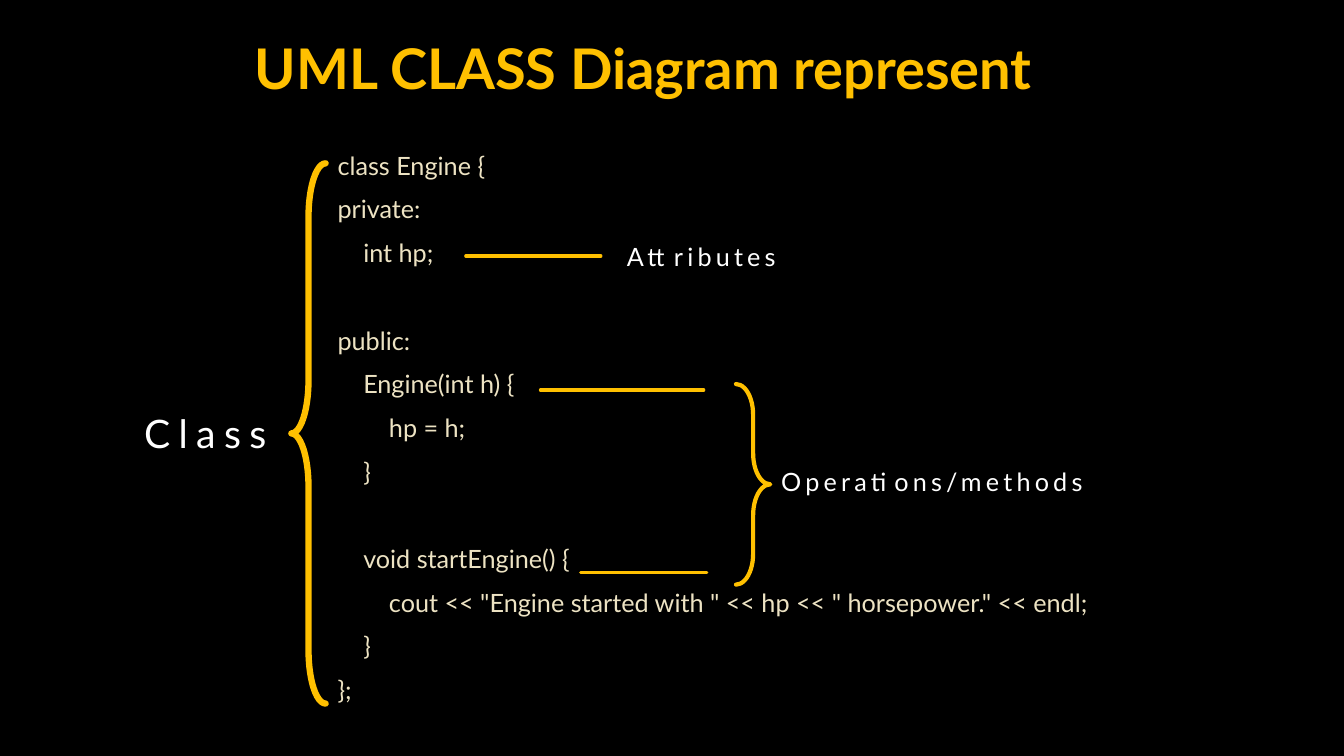
"""Build the UML class diagram slide: annotated code of an Engine class."""
from dataclasses import dataclass

import pptx
import pptx.dml.color
import pptx.enum.shapes
import pptx.enum.text
import pptx.oxml
import pptx.oxml.ns
import pptx.util

Inches = pptx.util.Inches
Pt = pptx.util.Pt


@dataclass(frozen=True)
class Theme:
    """Hold the colours, the font and the type sizes."""
    background: str = "000000"
    accent: str = "FFC000"
    code: str = "EDE3C3"
    label: str = "FFFFFF"
    font: str = "Lato"
    title_size: int = 40
    class_size: int = 28
    text_size: int = 18


THEME = Theme()
CODE_INDENT = 0.255
CODE_BEFORE = 3.6
CODE_AFTER = 6
BLANK_LINE = 31.2

CODE_LINES = [
    (0, "class Engine {", False),
    (0, "private:", False),
    (1, "int hp;", False),
    (0, "public:", True),
    (1, "Engine(int h) {", False),
    (2, "hp = h;", False),
    (1, "}", False),
    (1, "void startEngine() {", True),
    (2, 'cout << "Engine started with " << hp << " horsepower." << endl;', False),
    (1, "}", False),
    (0, "};", False),
]


def rgb(value):
    """Turn a hex string into a colour."""
    return pptx.dml.color.RGBColor.from_string(value)


def add_run(paragraph, text, size, color, bold=False, spacing=0):
    """Add one formatted run, with letter spacing in points."""
    run = paragraph.add_run()
    run.text = text
    run.font.name = THEME.font
    run.font.size = Pt(size)
    run.font.bold = bold
    run.font.color.rgb = rgb(color)
    if spacing:
        run.font._element.set("spc", str(spacing * 100))


def style_stroke(mark, width):
    """Give a mark the accent stroke with round ends."""
    mark.line.color.rgb = rgb(THEME.accent)
    mark.line.width = Pt(width)
    stroke = mark.element.spPr.find(pptx.oxml.ns.qn("a:ln"))
    stroke.set("cap", "rnd")


def add_title(slide, text):
    """Place and fill the title placeholder."""
    title = slide.shapes.title
    title.left, title.top = Inches(0.72), Inches(0.14)
    title.width, title.height = Inches(11.32), Inches(1.06)
    title.text_frame.vertical_anchor = pptx.enum.text.MSO_ANCHOR.MIDDLE
    heading = title.text_frame.paragraphs[0]
    heading.alignment = pptx.enum.text.PP_ALIGN.CENTER
    add_run(heading, text, THEME.title_size, THEME.accent, bold=True)


def add_code(slide, left, top, width, height):
    """Add the code listing, with indents for its nesting levels."""
    listing = slide.shapes.add_textbox(
        Inches(left), Inches(top), Inches(width), Inches(height)).text_frame
    listing.word_wrap = True
    for number, (level, text, after_gap) in enumerate(CODE_LINES):
        line = listing.add_paragraph() if number else listing.paragraphs[0]
        gap = BLANK_LINE if after_gap else 0
        line.space_before = Pt(CODE_BEFORE + gap if number else 0)
        line.space_after = Pt(CODE_AFTER)
        properties = line._p.get_or_add_pPr()
        properties.set("marL", str(Inches(0.04 + level * CODE_INDENT)))
        properties.set("indent", "0")
        add_run(line, text, THEME.text_size, THEME.code)


def add_brace(slide, left, top, height, curve, width, rotation=0):
    """Add a brace that gathers several code lines."""
    brace = slide.shapes.add_shape(
        pptx.enum.shapes.MSO_SHAPE.RIGHT_BRACE,
        Inches(left), Inches(top), Inches(0.34), Inches(height))
    brace.adjustments[0] = curve
    brace.rotation = rotation
    brace.shadow.inherit = False
    brace.fill.background()
    style_stroke(brace, width)


def add_pointer(slide, start, end, height):
    """Add a horizontal line from a code line towards its label."""
    pointer = slide.shapes.add_connector(
        pptx.enum.shapes.MSO_CONNECTOR.STRAIGHT,
        Inches(start), Inches(height), Inches(end), Inches(height))
    style_stroke(pointer, 2.25)
    pptx.oxml.ns.qn("a:effectLst")
    pointer.element.spPr.append(
        pptx.oxml.parse_xml(
            f'<a:effectLst {pptx.oxml.ns.nsdecls("a")}/>'))


def add_label(slide, text, left, top, width, height, size, spacing):
    """Add a letter-spaced label."""
    label = slide.shapes.add_textbox(
        Inches(left), Inches(top), Inches(width), Inches(height)).text_frame
    label.word_wrap = True
    add_run(label.paragraphs[0], text, size, THEME.label, spacing=spacing)


def main():
    """Build and save the slide."""
    deck = pptx.Presentation()
    deck.slide_width, deck.slide_height = Inches(13.33), Inches(7.5)
    slide = deck.slides.add_slide(deck.slide_layouts.get_by_name("Title Only"))
    slide.background.fill.solid()
    slide.background.fill.fore_color.rgb = rgb(THEME.background)

    add_title(slide, "UML CLASS Diagram represent")
    add_code(slide, 3.21, 1.44, 10, 5.6)
    add_brace(slide, 2.89, 1.62, 5.36, 1.56, 4.5, rotation=180)
    add_brace(slide, 7.3, 3.81, 1.99, 0.9, 3)
    for start, end, height in [(4.62, 5.96, 2.54), (5.36, 6.98, 3.87),
                               (5.76, 7.01, 5.68)]:
        add_pointer(slide, start, end, height)
    add_label(slide, "Class", 1.33, 4.01, 1.72, 0.57, THEME.class_size, 6)
    add_label(slide, "Attributes", 6.12, 2.34, 2.92, 0.4, THEME.text_size, 3)
    add_label(slide, "Operations/methods", 7.65, 4.58, 3.36, 0.4,
              THEME.text_size, 3)
    deck.save("out.pptx")


if __name__ == "__main__":
    main()
